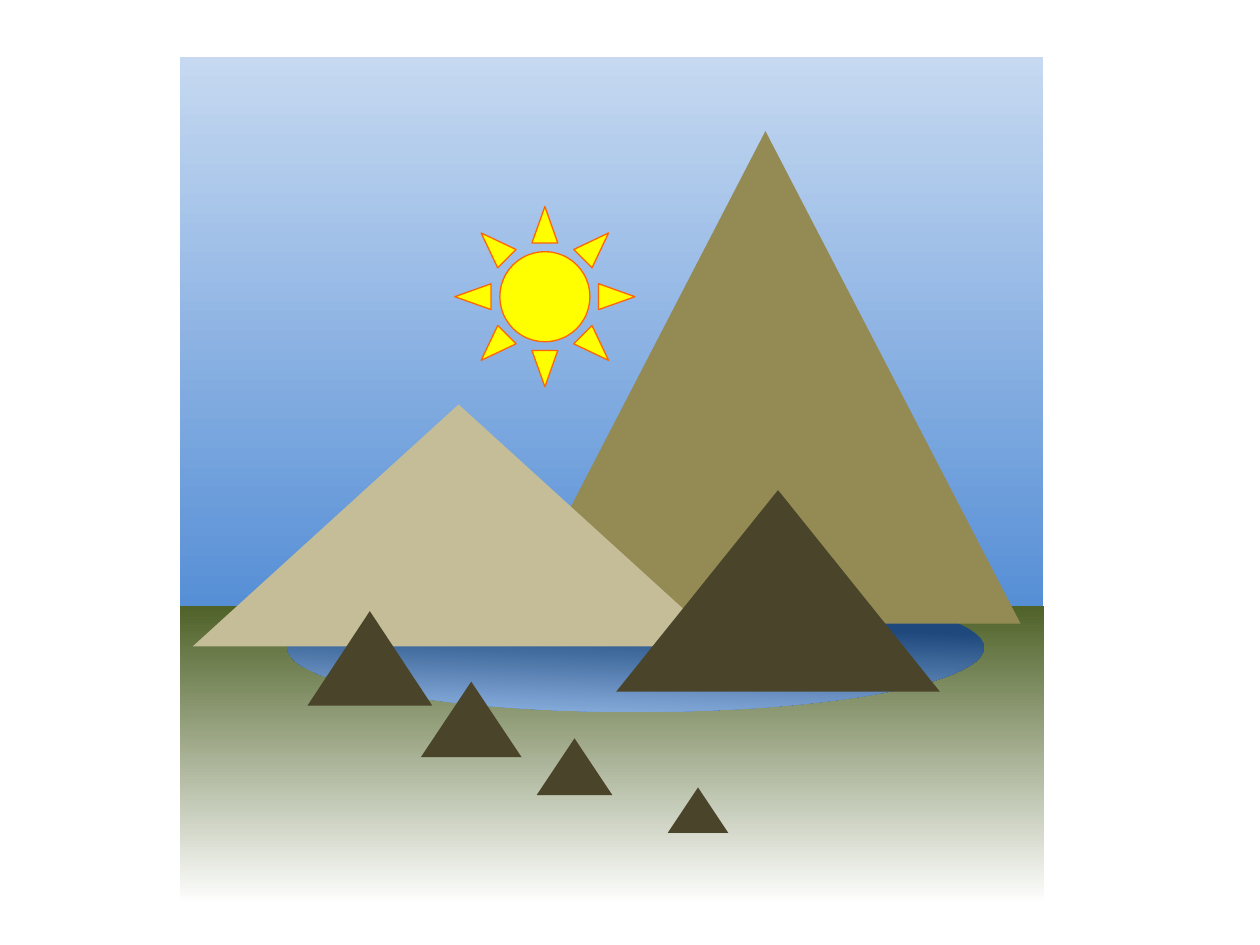
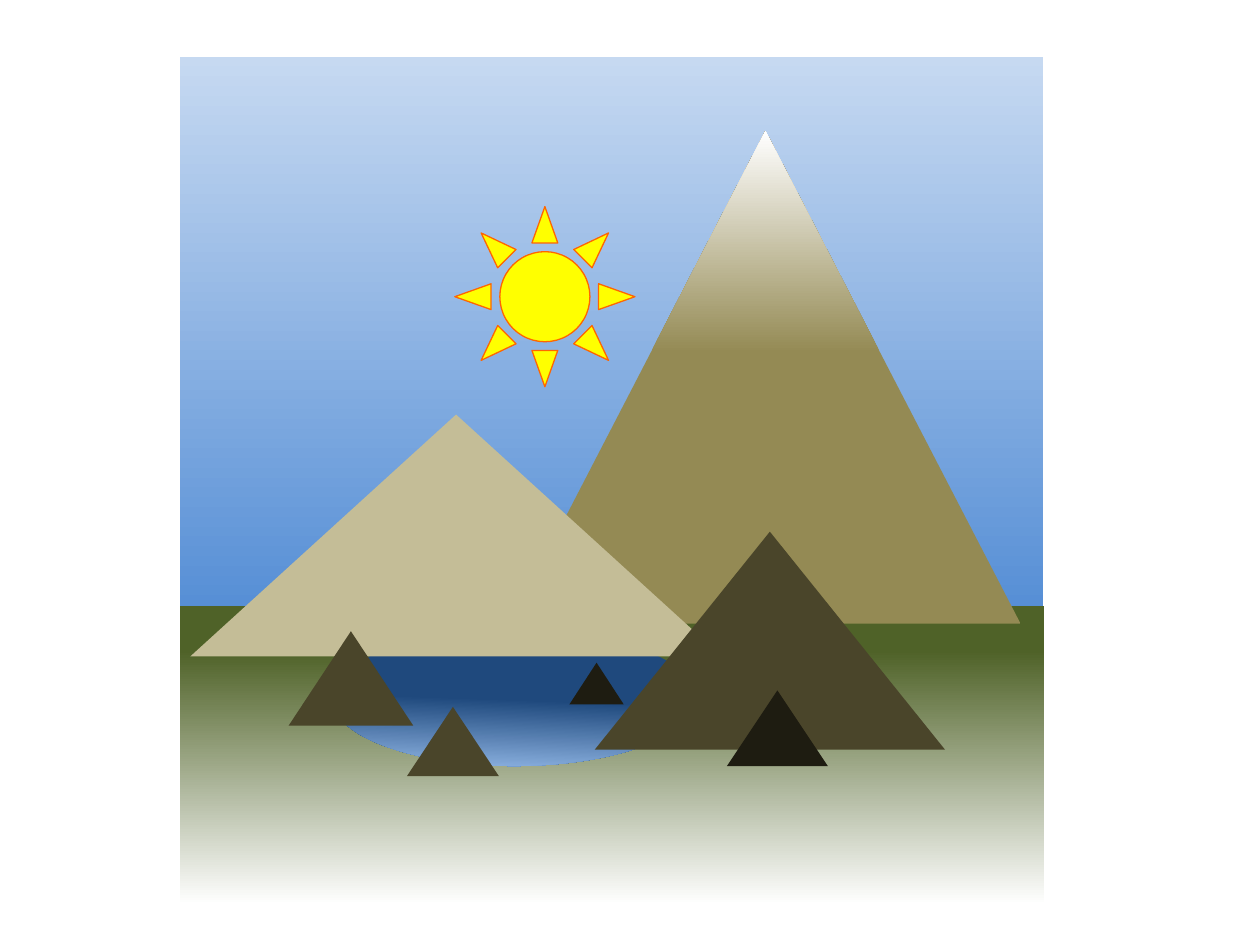
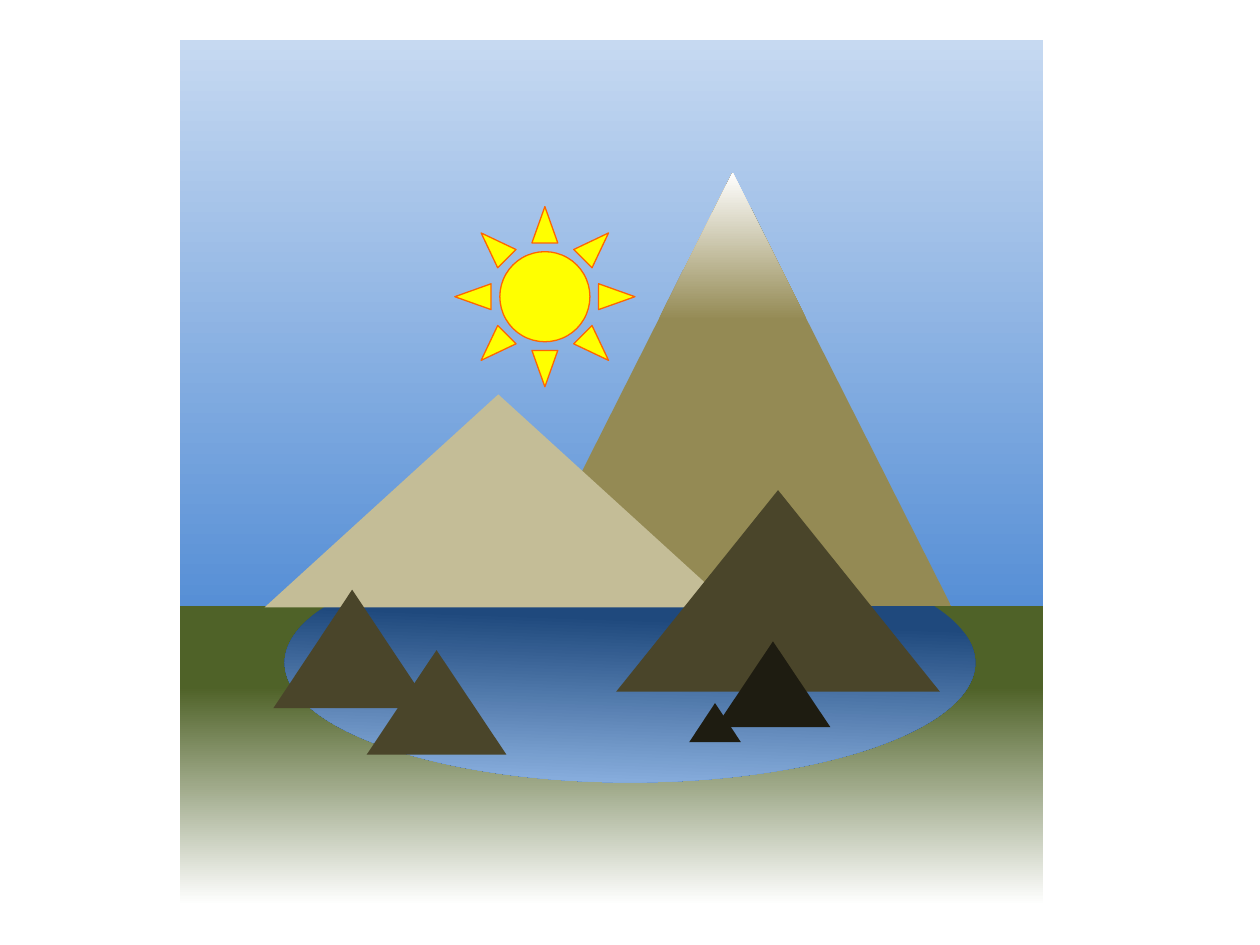
"""Build three mountain landscapes from gradient bands, a lake, a sun and peaks."""
from pptx import Presentation
from pptx.dml.color import RGBColor
from pptx.enum.shapes import MSO_SHAPE
from pptx.util import Inches, Pt

COLORS = {
    "sky": "558ED5", "haze": "C6D9F1", "grass": "4F6228", "white": "FFFFFF",
    "deep": "1F497D", "shore": "8EB4E3", "peak": "948A54", "hill": "C4BD97",
    "rock": "4A452A", "dark": "1E1C11", "sun": "FFFF00", "flame": "FF6600",
}
LEFT, HORIZON, DEPTH = 1.43, 4.81, 2.37
SKY_WIDTH, SKY_BASE = 6.85, 4.88
SUN = (3.61, 1.64, 1.43, 1.43)
UP, DOWN, LAKE_TILT = 270, 90, 92

SCENES = [
    {
        "top": 0.45, "ground": 6.86, "grass": 0,
        "lake": (2.28, 4.63, 5.53, 1.02), "deep": 33,
        "peak": (4.05, 1.04, 4.05, 3.91), "snow": None,
        "hill": (1.53, 3.21, 4.22, 1.92),
        "rock": [(4.89, 3.89, 2.57, 1.6), (2.44, 4.85, 0.99, 0.75),
                 (3.34, 5.41, 0.8, 0.6), (4.26, 5.86, 0.6, 0.45),
                 (5.3, 6.25, 0.48, 0.36)],
        "dark": [],
    },
    {
        "top": 0.45, "ground": 6.86, "grass": 15,
        "lake": (2.63, 5, 2.9, 1.08), "deep": 51,
        "peak": (4.05, 1.04, 4.05, 3.91), "snow": 55,
        "hill": (1.51, 3.29, 4.22, 1.92),
        "rock": [(4.72, 4.22, 2.78, 1.73), (2.29, 5.01, 0.99, 0.75),
                 (3.23, 5.61, 0.73, 0.55)],
        "dark": [(5.77, 5.48, 0.8, 0.6), (4.52, 5.26, 0.43, 0.33)],
    },
    {
        "top": 0.32, "ground": 6.85, "grass": 27,
        "lake": (2.26, 4.31, 5.48, 1.9), "deep": 33,
        "peak": (4.08, 1.37, 3.47, 3.44), "snow": 66,
        "hill": (2.1, 3.13, 3.71, 1.69),
        "rock": [(4.89, 3.89, 2.57, 1.6), (2.91, 5.16, 1.11, 0.83),
                 (2.17, 4.68, 1.25, 0.94)],
        "dark": [(5.47, 5.58, 0.41, 0.31), (5.68, 5.09, 0.91, 0.68)],
    },
]


def rgb(name):
    return RGBColor.from_string(COLORS[name])


def draw(slide, kind, box, color, fade=None, start=0, angle=DOWN, line=None):
    shape = slide.shapes.add_shape(kind, *map(Inches, box))
    shape.shadow.inherit = False
    fill = shape.fill
    if fade:
        fill.gradient()
        fill.gradient_angle = 360 - angle
        ends = ((color, start / 100), (fade, 1))
        for stop, (name, place) in zip(fill.gradient_stops, ends):
            stop.color.rgb = rgb(name)
            stop.position = place
    else:
        fill.solid()
        fill.fore_color.rgb = rgb(color)
    if line:
        shape.line.color.rgb = rgb(line)
        shape.line.width = Pt(0.75)
    else:
        shape.line.fill.background()


def paint(slide, scene):
    top, snow = scene["top"], scene["snow"]
    rect, peak = MSO_SHAPE.RECTANGLE, MSO_SHAPE.ISOSCELES_TRIANGLE
    draw(slide, rect, (LEFT, top, SKY_WIDTH, SKY_BASE - top), "sky",
         fade="haze", angle=UP)
    draw(slide, rect, (LEFT, HORIZON, scene["ground"], DEPTH), "grass",
         fade="white", start=scene["grass"])
    draw(slide, MSO_SHAPE.OVAL, scene["lake"], "deep",
         fade="shore", start=scene["deep"], angle=LAKE_TILT)
    draw(slide, peak, scene["peak"], "peak",
         fade="white" if snow else None, start=snow, angle=UP)
    draw(slide, MSO_SHAPE.SUN, SUN, "sun", line="flame")
    draw(slide, peak, scene["hill"], "hill")
    for color in ("rock", "dark"):
        for box in scene[color]:
            draw(slide, peak, box, color)


def main():
    deck = Presentation()
    deck.slide_width, deck.slide_height = Inches(10), Inches(7.5)
    for scene in SCENES:
        paint(deck.slides.add_slide(deck.slide_layouts[6]), scene)
    deck.save("out.pptx")


if __name__ == "__main__":
    main()
